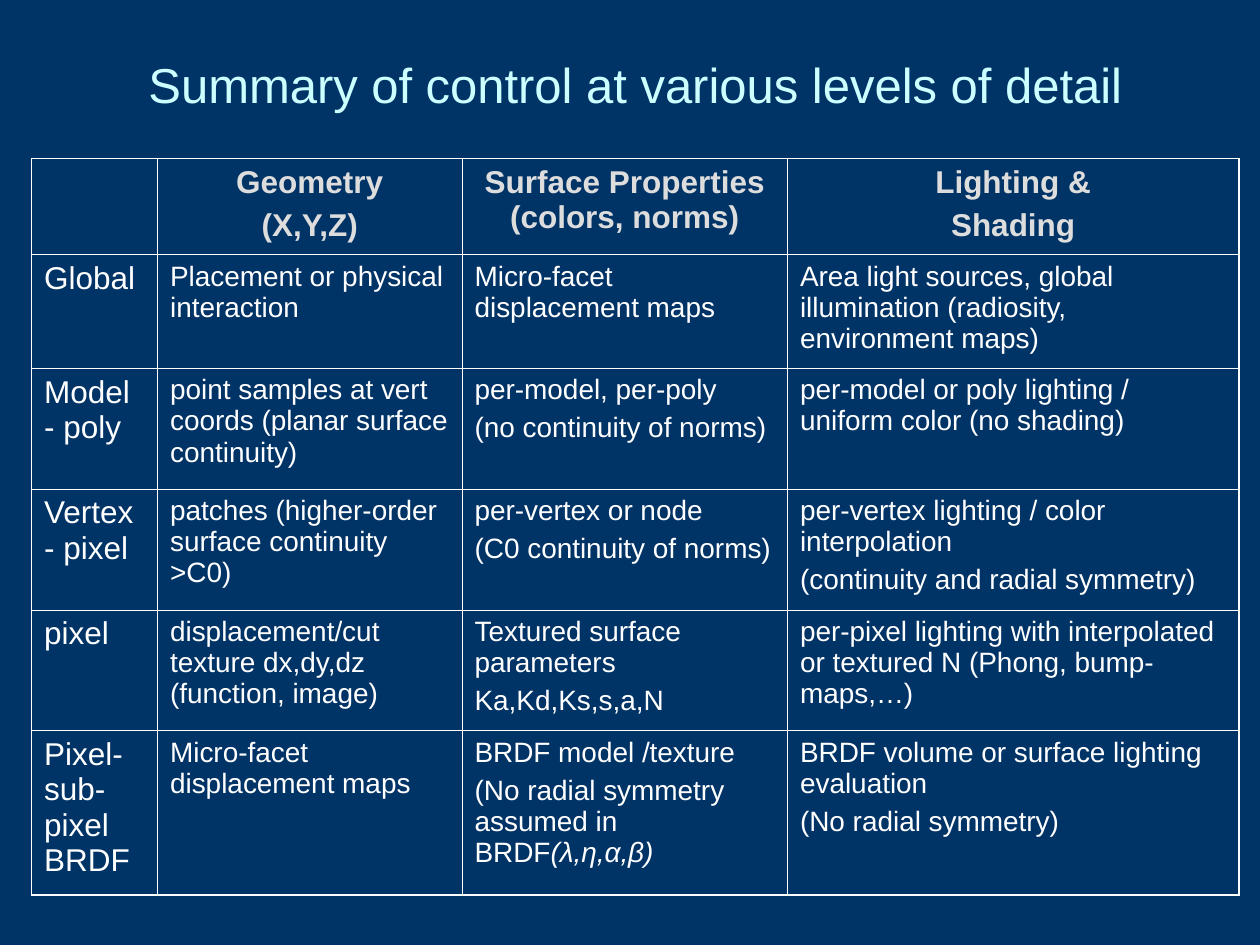
from lxml.etree import SubElement
from pptx import Presentation
from pptx.dml.color import RGBColor
from pptx.enum.text import MSO_ANCHOR as Anchor, PP_ALIGN as Align
from pptx.oxml.ns import qn
from pptx.util import Pt

FONT = "Arial"
NAVY, WHITE, GREY, AQUA = "003366", "FFFFFF", "DDDDDD", "CCFFFF"
OUTER, INNER = 1.08, 0.45

COLUMN_WIDTHS = [72, 174, 186, 258]
ROW_HEIGHTS = [55, 65, 69, 69, 69, 94]

# A newline starts a paragraph; asterisks enclose italics.
LEVELS = [
    ["", "Geometry\n(X,Y,Z)", "Surface Properties (colors, norms)",
     "Lighting &\nShading"],
    ["Global", "Placement or physical interaction",
     "Micro-facet displacement maps",
     "Area light sources, global illumination (radiosity, environment maps)"],
    ["Model - poly",
     "point samples at vert coords (planar surface continuity)",
     "per-model, per-poly\n(no continuity of norms)",
     "per-model or poly lighting / uniform color (no shading)"],
    ["Vertex - pixel", "patches (higher-order surface continuity >C0)",
     "per-vertex or node\n(C0 continuity of norms)",
     "per-vertex lighting / color interpolation\n"
     "(continuity and radial symmetry)"],
    ["pixel", "displacement/cut texture dx,dy,dz (function, image)",
     "Textured surface parameters\nKa,Kd,Ks,s,a,N",
     "per-pixel lighting with interpolated or textured N "
     "(Phong, bump-maps,…)"],
    ["Pixel-sub-pixel BRDF", "Micro-facet displacement maps",
     "BRDF model /texture\n"
     "(No radial symmetry assumed in BRDF*(λ,η,α,β)*",
     "BRDF volume or surface lighting evaluation\n(No radial symmetry)"],
]


def rgb(value):
    return RGBColor.from_string(value)


def add_run(paragraph, text, size, color, bold=False, italic=False):
    run = paragraph.add_run()
    run.text = text
    font = run.font
    font.name, font.size = FONT, Pt(size)
    font.bold, font.italic = bold, italic
    font.color.rgb = rgb(color)


def add_title(slide, text):
    title = slide.shapes.title
    title.left, title.top = Pt(66), Pt(18)
    title.width, title.height = Pt(594), Pt(60)
    frame = title.text_frame
    frame.word_wrap = True
    frame.vertical_anchor = Anchor.MIDDLE
    heading = frame.paragraphs[0]
    heading.alignment = Align.CENTER
    add_run(heading, text, 28, AQUA)


def set_borders(cell, widths):
    properties = cell._tc.get_or_add_tcPr()
    for side, width in zip("LRTB", widths):
        line = SubElement(properties, qn(f"a:ln{side}"), w=str(Pt(width)))
        fill = SubElement(line, qn("a:solidFill"))
        SubElement(fill, qn("a:srgbClr"), val=WHITE)


def fill_cell(cell, text, is_header, is_level):
    size = 18 if is_header or is_level else 16
    frame = cell.text_frame
    for index, line in enumerate(text.split("\n")):
        paragraph = frame.add_paragraph() if index else frame.paragraphs[0]
        paragraph.alignment = Align.CENTER if is_header else Align.LEFT
        paragraph.space_before = Pt(size / 4)
        for part, words in enumerate(line.split("*")):
            if words:
                add_run(paragraph, words, size, GREY if is_header else WHITE,
                        bold=is_header, italic=part % 2 == 1)


def add_level_table(slide):
    last_row, last_column = len(ROW_HEIGHTS) - 1, len(COLUMN_WIDTHS) - 1
    levels = slide.shapes.add_table(
        len(ROW_HEIGHTS), len(COLUMN_WIDTHS), Pt(18), Pt(90.5),
        Pt(sum(COLUMN_WIDTHS)), Pt(sum(ROW_HEIGHTS))).table
    levels.first_row = levels.horz_banding = False
    for column, width in zip(levels.columns, COLUMN_WIDTHS):
        column.width = Pt(width)
    for row, height in zip(levels.rows, ROW_HEIGHTS):
        row.height = Pt(height)
    for r, texts in enumerate(LEVELS):
        for c, text in enumerate(texts):
            cell = levels.cell(r, c)
            on_edge = (c == 0, c == last_column, r == 0, r == last_row)
            set_borders(cell, [OUTER if edge else INNER for edge in on_edge])
            cell.fill.background()
            cell.margin_left = cell.margin_right = Pt(7.2)
            cell.margin_top = cell.margin_bottom = Pt(3.6)
            fill_cell(cell, text, is_header=r == 0, is_level=c == 0)


def main():
    deck = Presentation()
    deck.slide_width, deck.slide_height = Pt(720), Pt(540)
    slide = deck.slides.add_slide(deck.slide_layouts[5])
    background = slide.background.fill
    background.solid()
    background.fore_color.rgb = rgb(NAVY)
    add_title(slide, "Summary of control at various levels of detail")
    add_level_table(slide)
    deck.save("out.pptx")


if __name__ == "__main__":
    main()
